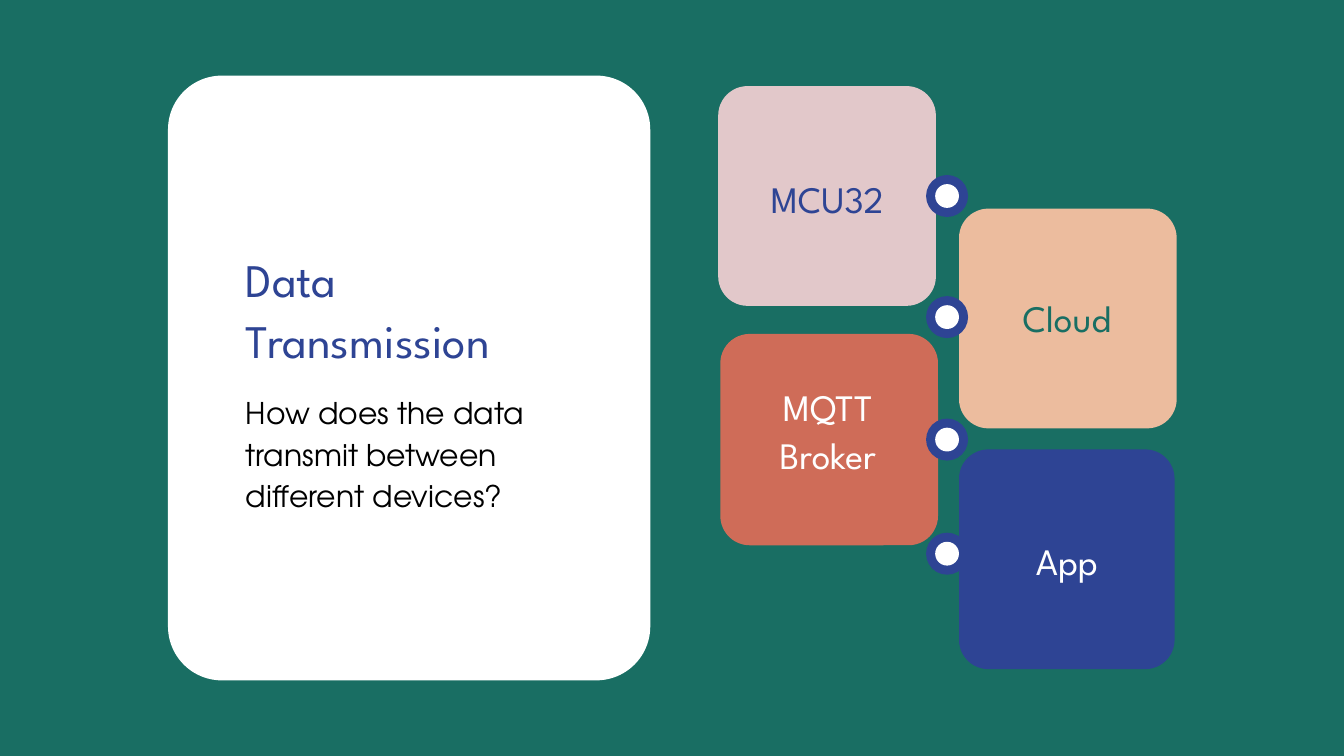
from pptx import Presentation
from pptx.dml.color import RGBColor
from pptx.enum.shapes import MSO_SHAPE
from pptx.enum.text import PP_ALIGN
from pptx.util import Emu, Pt

EMU_PER_PX = 9525
COLORS = {
    "green": "196E63",
    "blue": "2E4494",
    "pink": "E2C8CA",
    "peach": "ECBC9E",
    "red": "CF6C58",
    "white": "FFFFFF",
    "black": "000000",
}
HEADING_FONT = "League Spartan"
BODY_FONT = "TeX Gyre Adventor"

DEVICE_BOXES = [
    ((1370, 642, 308, 314), "blue"),
    ((1026, 123, 311, 314), "pink"),
    ((1370, 298, 311, 314), "peach"),
    ((1029, 477, 311, 302), "red"),
]
DEVICE_LABELS = [
    ("MCU32", (1080, 247, 204, 67), "blue"),
    ("MQTT Broker", (1068, 543, 229, 135), "white"),
    ("Cloud", (1422, 416, 204, 67), "green"),
    ("App", (1422, 764, 204, 67), "white"),
]
RING_CENTER_X = 1353
RING_CENTERS_Y = [280, 453, 628, 791]


def px(value):
    return Emu(value * EMU_PER_PX)


def color(name):
    return RGBColor.from_string(COLORS[name])


def add_filled_shape(slide, kind, box, fill):
    shape = slide.shapes.add_shape(kind, *map(px, box))
    shape.shadow.inherit = False
    shape.fill.solid()
    shape.fill.fore_color.rgb = color(fill)
    shape.line.fill.background()
    return shape


def add_rounded_box(slide, box, fill, radius):
    shape = add_filled_shape(slide, MSO_SHAPE.ROUNDED_RECTANGLE, box, fill)
    shape.adjustments[0] = radius / min(box[2:])


def add_ring(slide, center_x, center_y):
    for diameter, fill in ((60, "blue"), (34, "white")):
        left, top = center_x - diameter // 2, center_y - diameter // 2
        add_filled_shape(slide, MSO_SHAPE.OVAL, (left, top, diameter, diameter), fill)


def add_text(slide, text, box, font, size, spacing, fill, align=PP_ALIGN.LEFT):
    text_frame = slide.shapes.add_textbox(*map(px, box)).text_frame
    text_frame.word_wrap = True
    text_frame.margin_left = text_frame.margin_right = 0
    text_frame.margin_top = text_frame.margin_bottom = 0
    text_frame.text = text
    paragraph = text_frame.paragraphs[0]
    paragraph.alignment = align
    paragraph.line_spacing = Pt(spacing)
    run = paragraph.runs[0]
    run.font.name = font
    run.font.size = Pt(size)
    run.font.color.rgb = color(fill)


def main():
    """Build the data transmission slide and save it."""
    presentation = Presentation()
    presentation.slide_width, presentation.slide_height = px(1920), px(1080)
    slide = presentation.slides.add_slide(presentation.slide_layouts[6])
    slide.background.fill.solid()
    slide.background.fill.fore_color.rgb = color("green")

    for box, fill in DEVICE_BOXES:
        add_rounded_box(slide, box, fill, 42)
    for center_y in RING_CENTERS_Y:
        add_ring(slide, RING_CENTER_X, center_y)
    for label, box, fill in DEVICE_LABELS:
        add_text(slide, label, box, HEADING_FONT, 40, 52, fill, PP_ALIGN.CENTER)

    add_rounded_box(slide, (240, 108, 689, 864), "white", 77)
    add_text(slide, "Data Transmission", (351, 352, 466, 170),
             HEADING_FONT, 50, 65, "blue")
    add_text(slide, "How does the data transmit between different devices?",
             (351, 555, 466, 170), BODY_FONT, 32, 44.8, "black")

    presentation.save("out.pptx")


if __name__ == "__main__":
    main()
